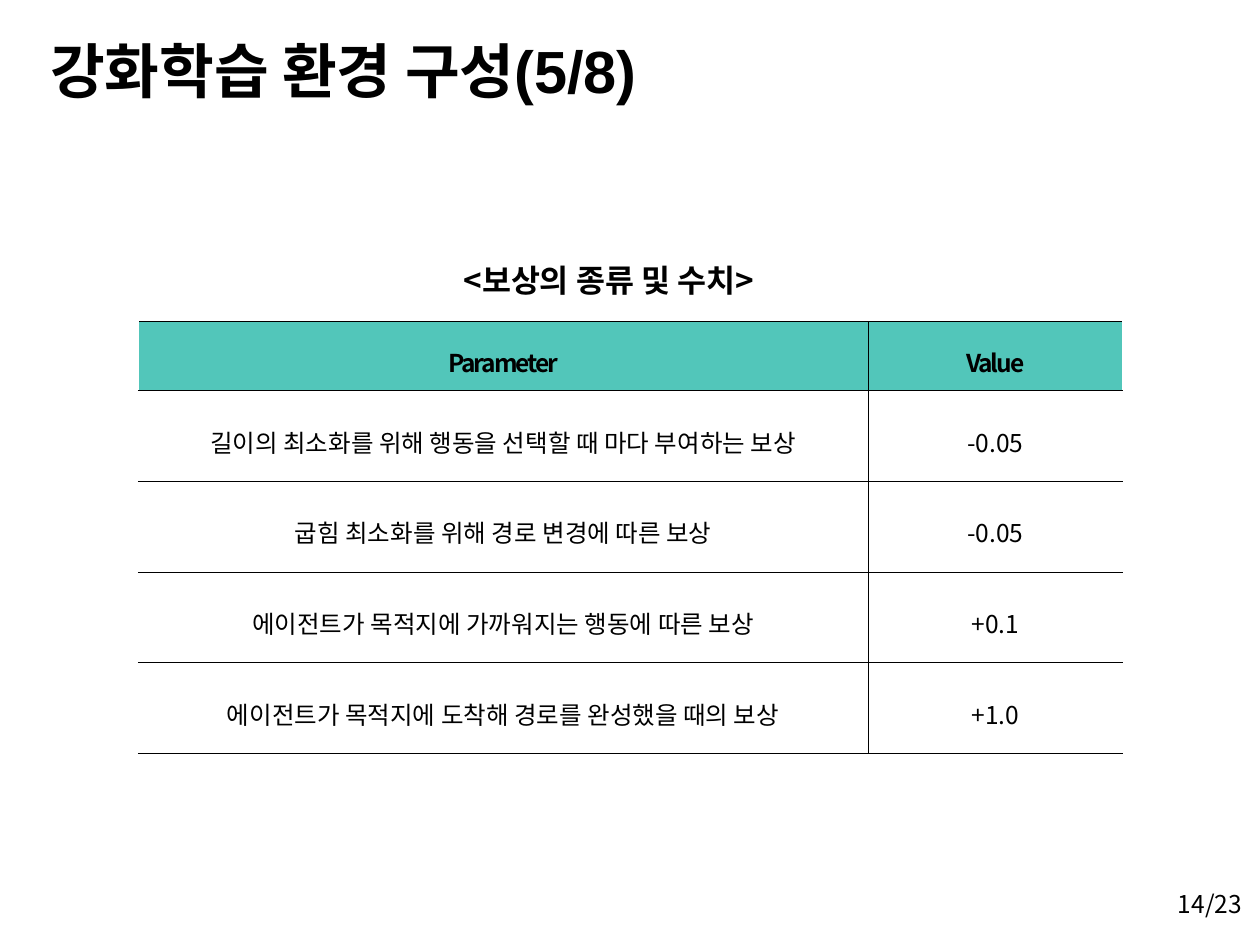
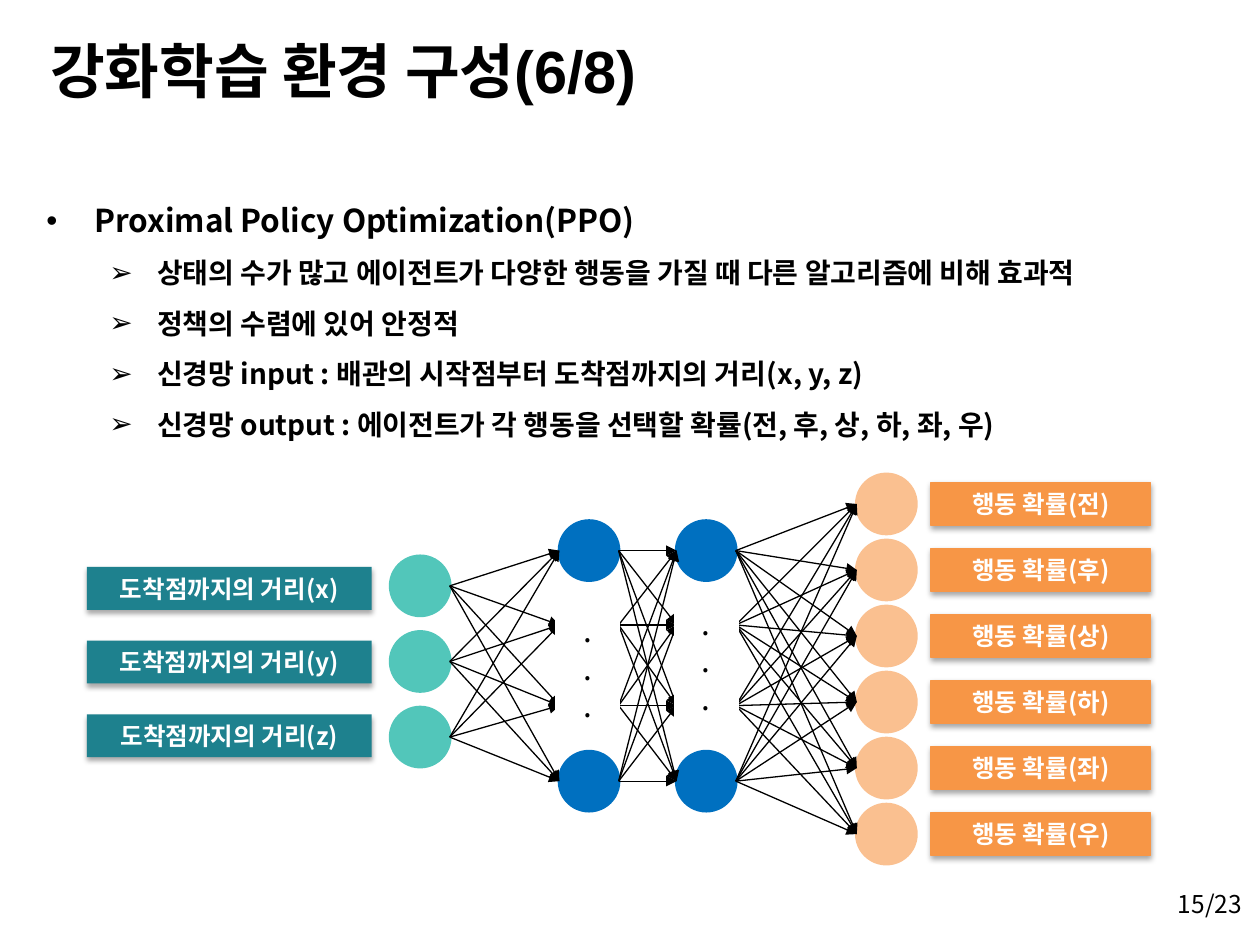
from itertools import product

from lxml.etree import SubElement
from pptx import Presentation
from pptx.dml.color import RGBColor
from pptx.enum.shapes import MSO_CONNECTOR, MSO_SHAPE
from pptx.enum.text import MSO_ANCHOR, PP_ALIGN
from pptx.oxml.ns import qn
from pptx.util import Inches, Pt

BLACK = RGBColor(0x00, 0x00, 0x00)
WHITE = RGBColor(0xFF, 0xFF, 0xFF)
TURQUOISE = RGBColor(0x52, 0xC6, 0xBA)
TEAL = RGBColor(0x1E, 0x81, 0x8E)
BLUE = RGBColor(0x00, 0x70, 0xC0)
PEACH = RGBColor(0xFA, 0xC0, 0x90)
ORANGE = RGBColor(0xF7, 0x96, 0x46)
FONT = "Noto Sans CJK KR"
TITLE_FONT = "Arial"
PAGE_COUNT = 23
NODE = 0.47

REWARDS = [
    ("Parameter", "Value"),
    ("길이의 최소화를 위해 행동을 선택할 때 마다 부여하는 보상", "-0.05"),
    ("굽힘 최소화를 위해 경로 변경에 따른 보상", "-0.05"),
    ("에이전트가 목적지에 가까워지는 행동에 따른 보상", "+0.1"),
    ("에이전트가 목적지에 도착해 경로를 완성했을 때의 보상", "+1.0"),
]
PPO_POINTS = [
    "상태의 수가 많고 에이전트가 다양한 행동을 가질 때 다른 알고리즘에 비해 효과적",
    "정책의 수렴에 있어 안정적",
    "신경망 input : 배관의 시작점부터 도착점까지의 거리(x, y, z)",
    "신경망 output : 에이전트가 각 행동을 선택할 확률(전, 후, 상, 하, 좌, 우)",
]


def write(p, text, size=14, font=FONT, color=BLACK, bold=False,
          align=PP_ALIGN.LEFT, spacing=None, tracking=None):
    """Add formatted text to a paragraph."""
    p.alignment = align
    if spacing:
        p.line_spacing = spacing
    r = p.add_run()
    r.text = text
    r.font.size = Pt(size)
    r.font.name = font
    r.font.bold = bold
    r.font.color.rgb = color
    rPr = r.font._element
    if tracking:
        rPr.set("spc", str(round(tracking * 100)))
    rPr.find(qn("a:latin")).addnext(rPr.makeelement(qn("a:ea"), {"typeface": FONT}))


def add_text(slide, left, top, width, height, text="", **fmt):
    """Add a wrapping, vertically centred text box and return its frame."""
    box = slide.shapes.add_textbox(Inches(left), Inches(top), Inches(width), Inches(height))
    tf = box.text_frame
    tf.word_wrap = True
    tf.vertical_anchor = MSO_ANCHOR.MIDDLE
    if text:
        write(tf.paragraphs[0], text, **fmt)
    return tf


def add_shape(slide, kind, left, top, width, height, fill, line=None, line_width=2):
    """Add a flat preset shape."""
    sp = slide.shapes.add_shape(kind, Inches(left), Inches(top), Inches(width), Inches(height))
    sp.shadow.inherit = False
    sp.fill.solid()
    sp.fill.fore_color.rgb = fill
    if line is None:
        sp.line.fill.background()
    else:
        sp.line.color.rgb = line
        sp.line.width = Pt(line_width)
    sp.text_frame.vertical_anchor = MSO_ANCHOR.MIDDLE
    return sp


def add_frame(prs, part, page):
    """Add a slide with the shared title and page number."""
    slide = prs.slides.add_slide(prs.slide_layouts[6])
    add_text(slide, 0.3, 0.05, 8, 1.01, f"강화학습 환경 구성({part}/8)",
             size=34, font=TITLE_FONT, bold=True)
    add_text(slide, 9.25, 7, 0.75, 0.34, f"{page}/{PAGE_COUNT}")
    return slide


def set_borders(cell, sides):
    """Draw thin black borders on the given sides of a cell."""
    tcPr = cell._tc.get_or_add_tcPr()
    for side in sides:
        ln = SubElement(tcPr, qn(f"a:ln{side}"), w=str(Pt(0.28)))
        fill = SubElement(ln, qn("a:solidFill"))
        SubElement(fill, qn("a:srgbClr"), val=str(BLACK))


def add_reward_table(slide, left, top):
    """Add the reward table with its caption above."""
    add_text(slide, left + 2.48, top - 0.53, 2.83, 0.4, "<보상의 종류 및 수치>",
             size=18, bold=True)
    widths, heights = (5.79, 2.02), [0.55] + [0.72] * 4
    table = slide.shapes.add_table(len(REWARDS), 2, Inches(left), Inches(top),
                                   Inches(sum(widths)), Inches(sum(heights))).table
    table.horz_banding = False
    for column, width in zip(table.columns, widths):
        column.width = Inches(width)
    for i, (row, height) in enumerate(zip(table.rows, heights)):
        row.height = Inches(height)
        for cell, text, sides in zip(row.cells, REWARDS[i], ("RTB", "LTB")):
            header = i == 0
            cell.vertical_anchor = MSO_ANCHOR.MIDDLE
            cell.margin_left = cell.margin_right = Inches(0.07)
            cell.margin_top = cell.margin_bottom = Inches(0.02)
            set_borders(cell, sides)
            if header:
                cell.fill.solid()
                cell.fill.fore_color.rgb = TURQUOISE
            else:
                cell.fill.background()
            write(cell.text_frame.paragraphs[0], text, bold=header, align=PP_ALIGN.CENTER,
                  spacing=1.3, tracking=-1.2 if header else None)


def add_bullet(p, text, char, indent, **fmt):
    """Write a paragraph with a hanging bullet."""
    pPr = p._p.get_or_add_pPr()
    pPr.set("marL", str(Inches(indent)))
    pPr.set("indent", str(-Inches(0.38)))
    SubElement(pPr, qn("a:buFont"), typeface=TITLE_FONT)
    SubElement(pPr, qn("a:buChar"), char=char)
    write(p, text, bold=True, **fmt)


def add_ppo_points(slide, left, top):
    """Add the algorithm heading with its bullet points."""
    tf = add_text(slide, left, top, 9.43, 3.03)
    tf.vertical_anchor = MSO_ANCHOR.TOP
    add_bullet(tf.paragraphs[0], "Proximal Policy Optimization(PPO)", "•", 0.38,
               size=18, spacing=Pt(33))
    for point in PPO_POINTS:
        p = tf.add_paragraph()
        p.level = 1
        add_bullet(p, point, "➢", 0.88, size=16, spacing=Pt(28.8))


def add_label(slide, left, top, width, text, fill, line=None):
    """Add a coloured label with a soft shadow."""
    sp = add_shape(slide, MSO_SHAPE.RECTANGLE, left, top, width, 0.34, fill, line, 0.75)
    effects = sp._element.spPr.find(qn("a:effectLst"))
    shadow = SubElement(effects, qn("a:outerShdw"), blurRad=str(Pt(3.1)), dist=str(Pt(1.8)),
                        dir="5400000", algn="t", rotWithShape="0")
    color = SubElement(shadow, qn("a:srgbClr"), val=str(BLACK))
    SubElement(color, qn("a:alpha"), val="35000")
    write(sp.text_frame.paragraphs[0], text, color=WHITE, bold=True, align=PP_ALIGN.CENTER)


def add_arrow(slide, x1, y1, x2, y2):
    """Add a thin black arrow."""
    line = slide.shapes.add_connector(MSO_CONNECTOR.STRAIGHT, Inches(x1), Inches(y1),
                                      Inches(x2), Inches(y2))
    line.line.color.rgb = BLACK
    line.line.width = Pt(0.75)
    SubElement(line.line._get_or_add_ln(), qn("a:tailEnd"), type="triangle")
    SubElement(line._element.spPr, qn("a:effectLst"))


def add_ellipsis(slide, left, top):
    """Add a white block with three vertical dots."""
    sp = add_shape(slide, MSO_SHAPE.RECTANGLE, left, top, 0.49, 1.18, WHITE, WHITE)
    tf = sp.text_frame
    for i in range(3):
        p = tf.add_paragraph() if i else tf.paragraphs[0]
        write(p, ".", size=18, align=PP_ALIGN.CENTER, spacing=Pt(21.4))


def add_network(slide, left, top):
    """Add the neural network with its input and output labels."""
    inputs = [top + 0.89 + 0.6 * i for i in range(3)]
    hidden = [top + y for y in (0.61, 1.2, 1.84, 2.44)]
    outputs = [top + 0.24 + 2.62 / 5 * i for i in range(6)]
    ends = [hidden[0], hidden[-1]]
    layers = [
        (left + 2.41, inputs, inputs, TURQUOISE),
        (left + 3.75, hidden, ends, BLUE),
        (left + 4.68, hidden, ends, BLUE),
        (left + 6.11, outputs, outputs, PEACH),
    ]
    for x, _, drawn, color in layers:
        for y in drawn:
            add_shape(slide, MSO_SHAPE.OVAL, x, y - NODE / 2, NODE, NODE, color, color)
    for (x1, starts, _, _), (x2, stops, _, _) in zip(layers, layers[1:]):
        for y1, y2 in product(starts, stops):
            add_arrow(slide, x1 + NODE, y1, x2, y2)
    add_ellipsis(slide, left + 3.73, top + 0.95)
    add_ellipsis(slide, left + 4.67, top + 0.89)
    for i, axis in enumerate("xyz"):
        add_label(slide, left, top + 0.74 + 0.585 * i, 2.26, f"도착점까지의 거리({axis})", TEAL)
    for i, move in enumerate("전후상하좌우"):
        add_label(slide, left + 6.7, top + 0.07 + 2.62 / 5 * i, 1.74,
                  f"행동 확률({move})", ORANGE, ORANGE)


def main():
    """Build and save the presentation."""
    prs = Presentation()
    prs.slide_width, prs.slide_height = Inches(10), Inches(7.5)
    add_reward_table(add_frame(prs, 5, 14), 1.1, 2.55)
    slide = add_frame(prs, 6, 15)
    add_ppo_points(slide, 0.27, 1.39)
    add_network(slide, 0.69, 3.76)
    prs.save("out.pptx")


if __name__ == "__main__":
    main()
